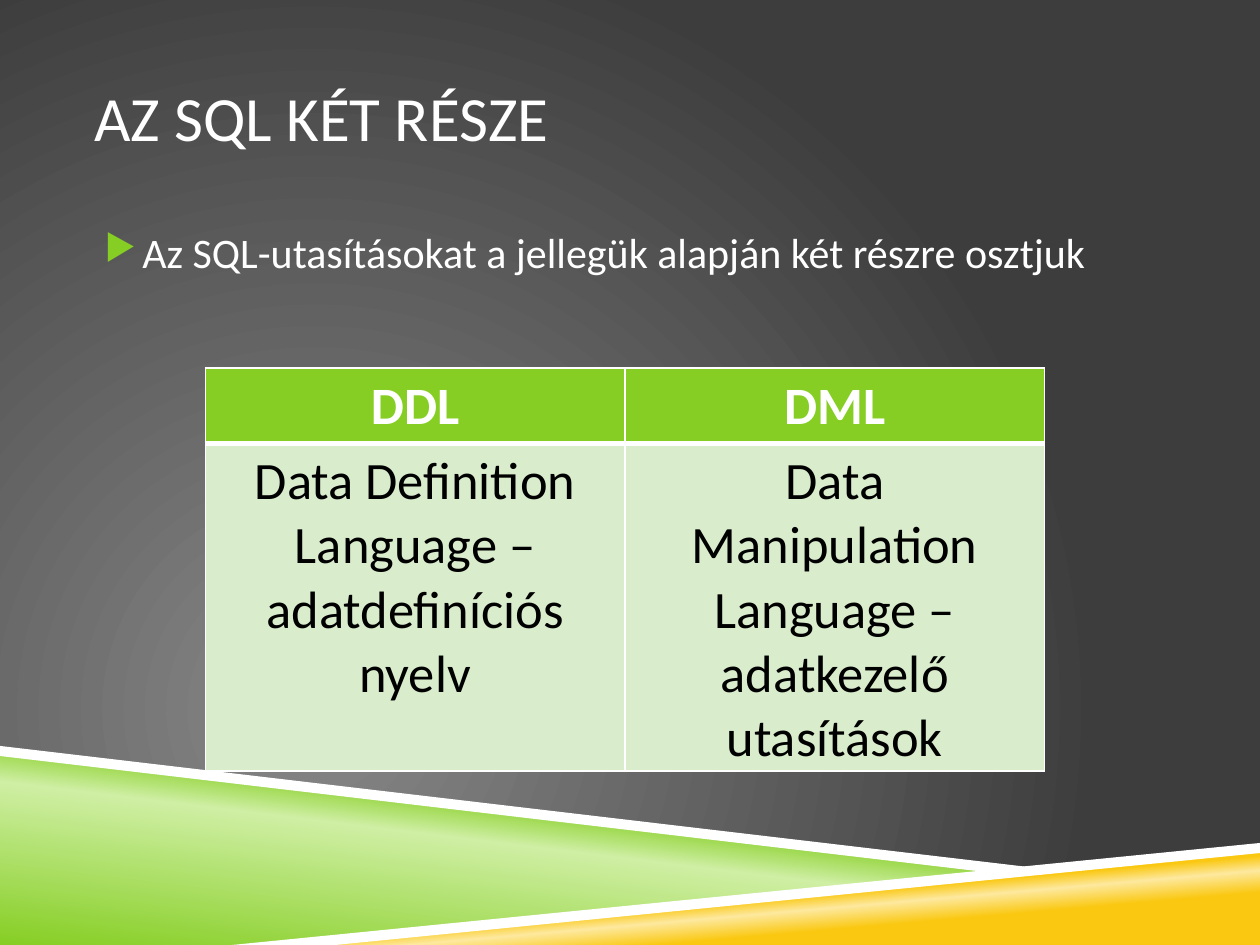
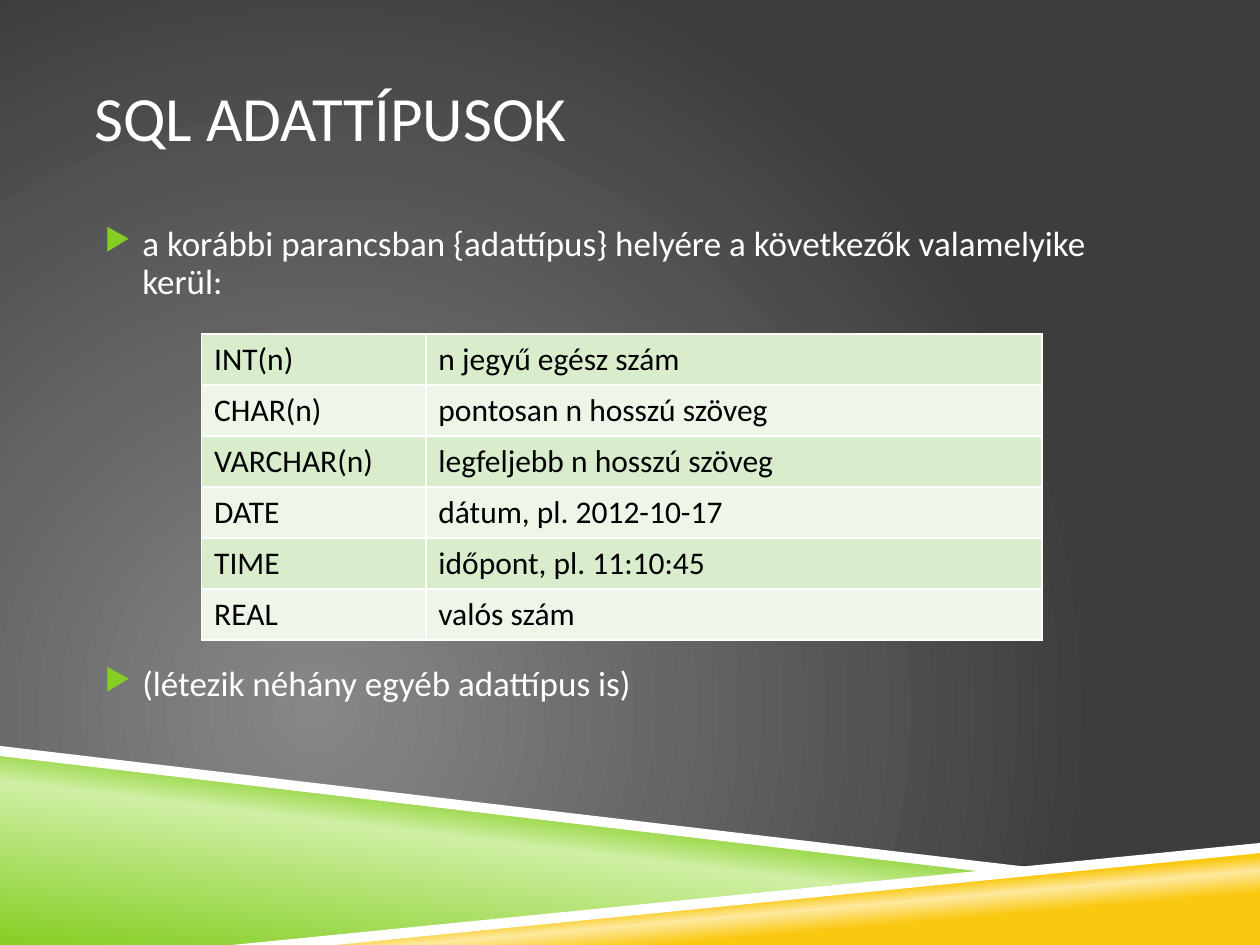
"""Build two SQL slides that share a dark gradient background and crossing bands."""
from pptx import Presentation
from pptx.dml.color import RGBColor
from pptx.enum.text import MSO_ANCHOR, PP_ALIGN
from pptx.oxml import parse_xml
from pptx.oxml.ns import nsdecls, qn
from pptx.util import Inches, Pt

FONT = "Calibri"
COLORS = {
    "white": "FFFFFF", "black": "000000", "center": "878787", "edge": "3D3D3D",
    "green": "86CE24", "light_green": "CFEFA4",
    "yellow": "FAC810", "light_yellow": "FDE99F",
    "row_dark": "D9EDCD", "row_light": "EDF6E8",
}
BACKGROUND_STOPS = [(0, "center"), (100, "edge")]
BACKGROUND_GEOMETRY = (
    '<a:path path="circle"><a:fillToRect l="50000" t="100000" r="100000" b="50000"/></a:path>'
)
BANDS = [
    {"points": [(0, 5.97), (7.92, 6.92), (2, 7.5), (0, 7.5)], "angle": 277,
     "stops": [(0, "green"), (52, "light_green"), (66, "green")]},
    {"points": [(1.98, 7.5), (10, 6.72), (10, 7.5)], "angle": 265,
     "stops": [(28, "yellow"), (40, "light_yellow"), (48, "yellow")]},
    {"points": [(0, 5.92), (0, 6), (7.9, 6.93), (8.32, 6.9)]},
    {"points": [(10, 6.69), (1.84, 7.5), (2.66, 7.5), (10, 6.77)]},
]
SLIDES = [
    {
        "title": "AZ SQL KÉT RÉSZE",
        "bullets": [("Az SQL-utasításokat a jellegük alapján két részre osztjuk", 7)],
        "bullet_size": 24, "line_spacing": 1.0,
        "table": {
            "left": 1.63, "top": 2.92, "columns": [3.33, 3.33], "rows": [0.44, 2.26],
            "header": True, "size": 30, "align": PP_ALIGN.CENTER,
            "cells": [
                ("DDL", "DML"),
                ("Data Definition Language – adatdefiníciós nyelv",
                 "Data Manipulation Language – adatkezelő utasítások"),
            ],
        },
    },
    {
        "title": "SQL ADATTÍPUSOK",
        "bullets": [
            ("a korábbi parancsban {adattípus} helyére a következők valamelyike kerül:", 7),
            ("(létezik néhány egyéb adattípus is)", 208),
        ],
        "bullet_size": 20, "line_spacing": 0.9,
        "table": {
            "left": 1.6, "top": 2.65, "columns": [1.78, 4.89], "rows": [0.405] * 6,
            "header": False, "size": 18, "align": PP_ALIGN.LEFT,
            "cells": [
                ("INT(n)", "n jegyű egész szám"),
                ("CHAR(n)", "pontosan n hosszú szöveg"),
                ("VARCHAR(n)", "legfeljebb n hosszú szöveg"),
                ("DATE", "dátum, pl. 2012-10-17"),
                ("TIME", "időpont, pl. 11:10:45"),
                ("REAL", "valós szám"),
            ],
        },
    },
]


def rgb(name):
    return RGBColor.from_string(COLORS[name])


def apply_gradient(properties, stops, geometry):
    stop_xml = "".join(
        f'<a:gs pos="{position * 1000}"><a:srgbClr val="{COLORS[name]}"/></a:gs>'
        for position, name in stops
    )
    gradient = parse_xml(
        f'<a:gradFill {nsdecls("a")} rotWithShape="1"><a:gsLst>{stop_xml}</a:gsLst>{geometry}</a:gradFill>'
    )
    properties.replace(properties.find(qn("a:solidFill")), gradient)


def format_paragraph(paragraph, size, color, bold=False):
    for run in paragraph.runs:
        run.font.name = FONT
        run.font.size = Pt(size)
        run.font.bold = bold
        run.font.color.rgb = rgb(color)


def set_background(master):
    master.background.fill.solid()
    properties = master.element.find(".//" + qn("p:bgPr"))
    apply_gradient(properties, BACKGROUND_STOPS, BACKGROUND_GEOMETRY)


def add_band(slide, band):
    points = [(Inches(x), Inches(y)) for x, y in band["points"]]
    builder = slide.shapes.build_freeform(*points[0])
    builder.add_line_segments(points[1:], close=True)
    shape = builder.convert_to_shape()
    shape.shadow.inherit = False
    shape.line.fill.background()
    shape.fill.solid()
    shape.fill.fore_color.rgb = rgb("white")
    if "stops" in band:
        angle = f'<a:lin ang="{band["angle"] * 60000}" scaled="0"/>'
        apply_gradient(shape.element.spPr, band["stops"], angle)


def add_text_frame(slide, top, height):
    box = slide.shapes.add_textbox(Inches(0.75), Inches(top), Inches(8.5), Inches(height))
    frame = box.text_frame
    frame.word_wrap = True
    frame.margin_left = frame.margin_right = 0
    return frame


def add_title(slide, text):
    frame = add_text_frame(slide, 0.3, 1.25)
    frame.vertical_anchor = MSO_ANCHOR.MIDDLE
    frame.text = text
    format_paragraph(frame.paragraphs[0], 36, "white")


def add_bullets(slide, content):
    frame = add_text_frame(slide, 1.75, 4.08)
    frame.text = "\n".join(text for text, _ in content["bullets"])
    for paragraph, (_, space) in zip(frame.paragraphs, content["bullets"]):
        paragraph.space_before = Pt(space)
        paragraph.line_spacing = content["line_spacing"]
        format_paragraph(paragraph, content["bullet_size"], "white")
        properties = paragraph._p.get_or_add_pPr()
        properties.set("marL", str(Inches(0.38)))
        properties.set("indent", str(Inches(-0.3)))
        for bullet in (
            f'<a:buClr {nsdecls("a")}><a:srgbClr val="{COLORS["green"]}"/></a:buClr>',
            f'<a:buSzPct {nsdecls("a")} val="85000"/>',
            f'<a:buChar {nsdecls("a")} char="▶"/>',
        ):
            properties.append(parse_xml(bullet))


def add_borders(cell, widths):
    properties = cell._tc.get_or_add_tcPr()
    for side, width in widths.items():
        properties.append(parse_xml(
            f'<a:ln{side} {nsdecls("a")} w="{Pt(width)}"><a:solidFill>'
            f'<a:srgbClr val="{COLORS["white"]}"/></a:solidFill></a:ln{side}>'
        ))


def add_data_table(slide, data):
    columns, rows = data["columns"], data["rows"]
    table = slide.shapes.add_table(
        len(rows), len(columns), Inches(data["left"]), Inches(data["top"]),
        Inches(sum(columns)), Inches(sum(rows)),
    ).table
    table.first_row = data["header"]
    table.horz_banding = False
    for column, width in zip(table.columns, columns):
        column.width = Inches(width)
    for index, (row, height) in enumerate(zip(table.rows, rows)):
        row.height = Inches(height)
        is_header = data["header"] and index == 0
        under_header = data["header"] and index == 1
        is_dark = (index - data["header"]) % 2 == 0
        fill = "green" if is_header else "row_dark" if is_dark else "row_light"
        borders = {"L": 1, "R": 1, "T": 3 if under_header else 1, "B": 3 if is_header else 1}
        for cell, text in zip(row.cells, data["cells"][index]):
            add_borders(cell, borders)
            cell.fill.solid()
            cell.fill.fore_color.rgb = rgb(fill)
            cell.text_frame.text = text
            paragraph = cell.text_frame.paragraphs[0]
            paragraph.alignment = data["align"]
            format_paragraph(paragraph, data["size"], "white" if is_header else "black", is_header)


presentation = Presentation()
presentation.slide_width = Inches(10)
presentation.slide_height = Inches(7.5)
set_background(presentation.slide_master)
for content in SLIDES:
    slide = presentation.slides.add_slide(presentation.slide_layouts[6])
    for band in BANDS:
        add_band(slide, band)
    add_title(slide, content["title"])
    add_bullets(slide, content)
    add_data_table(slide, content["table"])
presentation.save("out.pptx")
